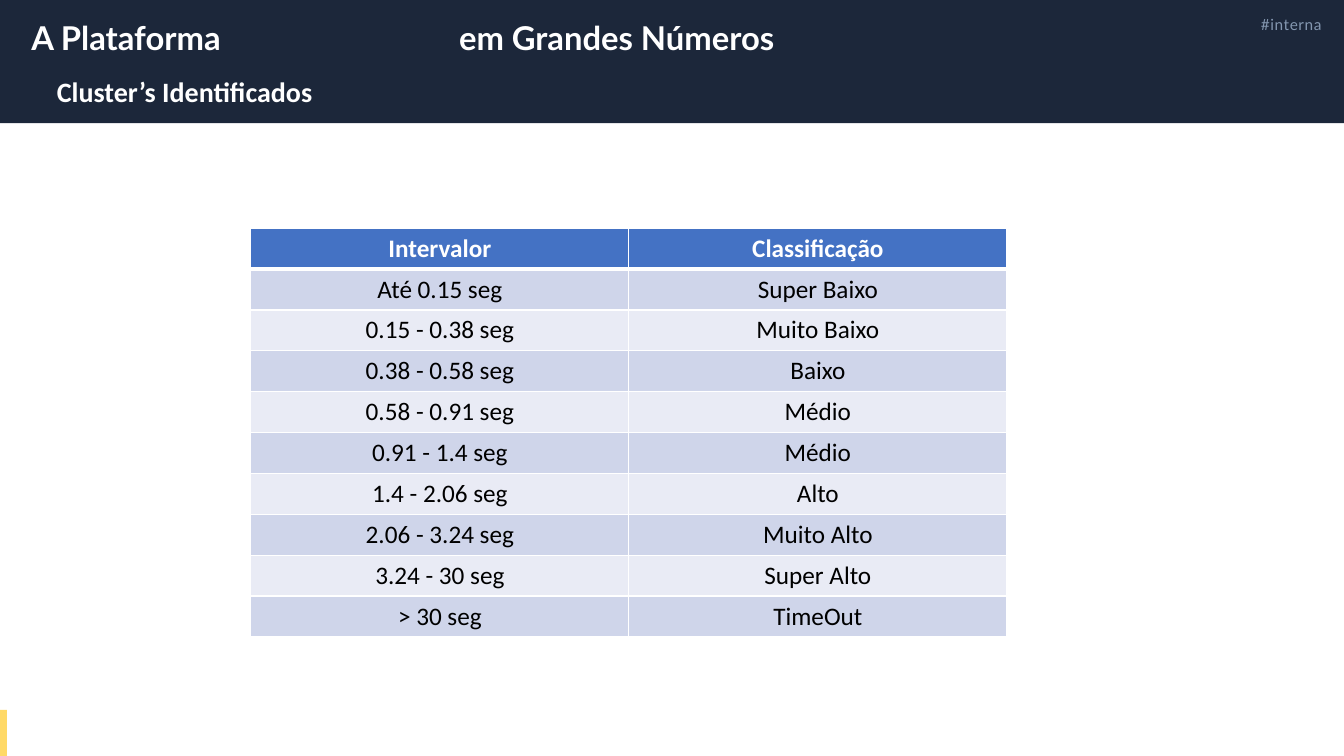
from lxml.etree import SubElement
from pptx import Presentation
from pptx.dml.color import RGBColor
from pptx.enum.shapes import MSO_SHAPE
from pptx.enum.text import MSO_ANCHOR, PP_ALIGN
from pptx.oxml.ns import qn
from pptx.util import Pt

WHITE = "FFFFFF"
NAVY = "1C273A"
YELLOW = "FFD966"
HEADER_BLUE = "4472C4"
BAND_FILLS = ("CFD5EA", "E9EBF5")

CLUSTERS = [
    ("Intervalor", "Classificação"),
    ("Até 0.15 seg", "Super Baixo"),
    ("0.15 - 0.38 seg", "Muito Baixo"),
    ("0.38 - 0.58 seg", "Baixo"),
    ("0.58 - 0.91 seg", "Médio"),
    ("0.91 - 1.4 seg", "Médio"),
    ("1.4 - 2.06 seg", "Alto"),
    ("2.06 - 3.24 seg", "Muito Alto"),
    ("3.24 - 30 seg", "Super Alto"),
    ("> 30 seg", "TimeOut"),
]


def paint(color_format, color):
    """Set a fill to a solid hex colour."""
    color_format.solid()
    color_format.fore_color.rgb = RGBColor.from_string(color)


def write(frame, text, size=18, font="Calibri", color=WHITE, bold=False,
          align=PP_ALIGN.LEFT, line_spacing=1.0, spacing=0, tab=None):
    """Write one formatted paragraph into a text frame."""
    paragraph = frame.paragraphs[0]
    paragraph.alignment = align
    paragraph.line_spacing = line_spacing
    run = paragraph.add_run()
    run.text = text
    run.font.size = Pt(size)
    run.font.name = font
    run.font.bold = bold
    paint(run.font.fill, color)
    if spacing:
        run.font._element.set("spc", str(round(spacing * 100)))
    if tab:
        tabs = SubElement(paragraph._p.get_or_add_pPr(), qn("a:tabLst"))
        SubElement(tabs, qn("a:tab"), pos=str(Pt(tab)), algn="l")


def add_block(slide, left, top, width, height, color):
    """Add a plain filled rectangle."""
    shape = slide.shapes.add_shape(
        MSO_SHAPE.RECTANGLE, Pt(left), Pt(top), Pt(width), Pt(height))
    shape.shadow.inherit = False
    paint(shape.fill, color)
    shape.line.fill.background()


def add_text(slide, text, left, top, width, height, inset_left=7.2,
             inset_right=7.2, anchor=MSO_ANCHOR.TOP, **text_format):
    """Add a wrapped text box with one formatted paragraph."""
    box = slide.shapes.add_textbox(Pt(left), Pt(top), Pt(width), Pt(height))
    frame = box.text_frame
    frame.word_wrap = True
    frame.vertical_anchor = anchor
    frame.margin_left = Pt(inset_left)
    frame.margin_right = Pt(inset_right)
    write(frame, text, **text_format)


def add_borders(cell, top, bottom):
    """Give a cell white borders, with top and bottom widths in points."""
    properties = cell._tc.get_or_add_tcPr()
    for side, width in (("L", 1), ("R", 1), ("T", top), ("B", bottom)):
        line = SubElement(properties, qn(f"a:ln{side}"), w=str(Pt(width)))
        fill = SubElement(line, qn("a:solidFill"))
        SubElement(fill, qn("a:srgbClr"), val=WHITE)


def add_cluster_table(slide, rows, left, top, column_width, row_height):
    """Add a banded table whose first row is the header."""
    column_count = len(rows[0])
    table = slide.shapes.add_table(
        len(rows), column_count, Pt(left), Pt(top),
        Pt(column_width * column_count), Pt(row_height * len(rows))).table
    for row_index, values in enumerate(rows):
        table.rows[row_index].height = Pt(row_height)
        header = row_index == 0
        fill = HEADER_BLUE if header else BAND_FILLS[(row_index - 1) % 2]
        for column_index, value in enumerate(values):
            cell = table.cell(row_index, column_index)
            add_borders(cell, top=3 if row_index == 1 else 1,
                        bottom=3 if header else 1)
            paint(cell.fill, fill)
            write(cell.text_frame, value, bold=header, align=PP_ALIGN.CENTER,
                  color=WHITE if header else "000000")


def main():
    """Build the cluster slide and save it."""
    presentation = Presentation()
    presentation.slide_width = Pt(960)
    presentation.slide_height = Pt(540)
    slide = presentation.slides.add_slide(presentation.slide_layouts[6])

    add_block(slide, 0, 507, 5, 33, YELLOW)
    add_block(slide, -0.5, -0.5, 961, 88.5, NAVY)
    add_text(slide, "A Plataforma\tem Grandes Números", 22.4, 14, 888, 28.8,
             inset_left=0, anchor=MSO_ANCHOR.MIDDLE, size=23.4, font="Lato",
             bold=True, line_spacing=0.9, tab=305.5)
    add_text(slide, "#interna", 876, 5.8, 68, 20.9, inset_left=0,
             inset_right=0, size=11, font="Lato", color="8497B0",
             align=PP_ALIGN.RIGHT, line_spacing=1.1, spacing=0.4)
    add_text(slide, "Cluster’s Identificados", 33.5, 49.8, 209, 31.5,
             size=20, bold=True)
    add_cluster_table(slide, CLUSTERS, 179.2, 163, 270, 29.2)

    presentation.save("out.pptx")


if __name__ == "__main__":
    main()
